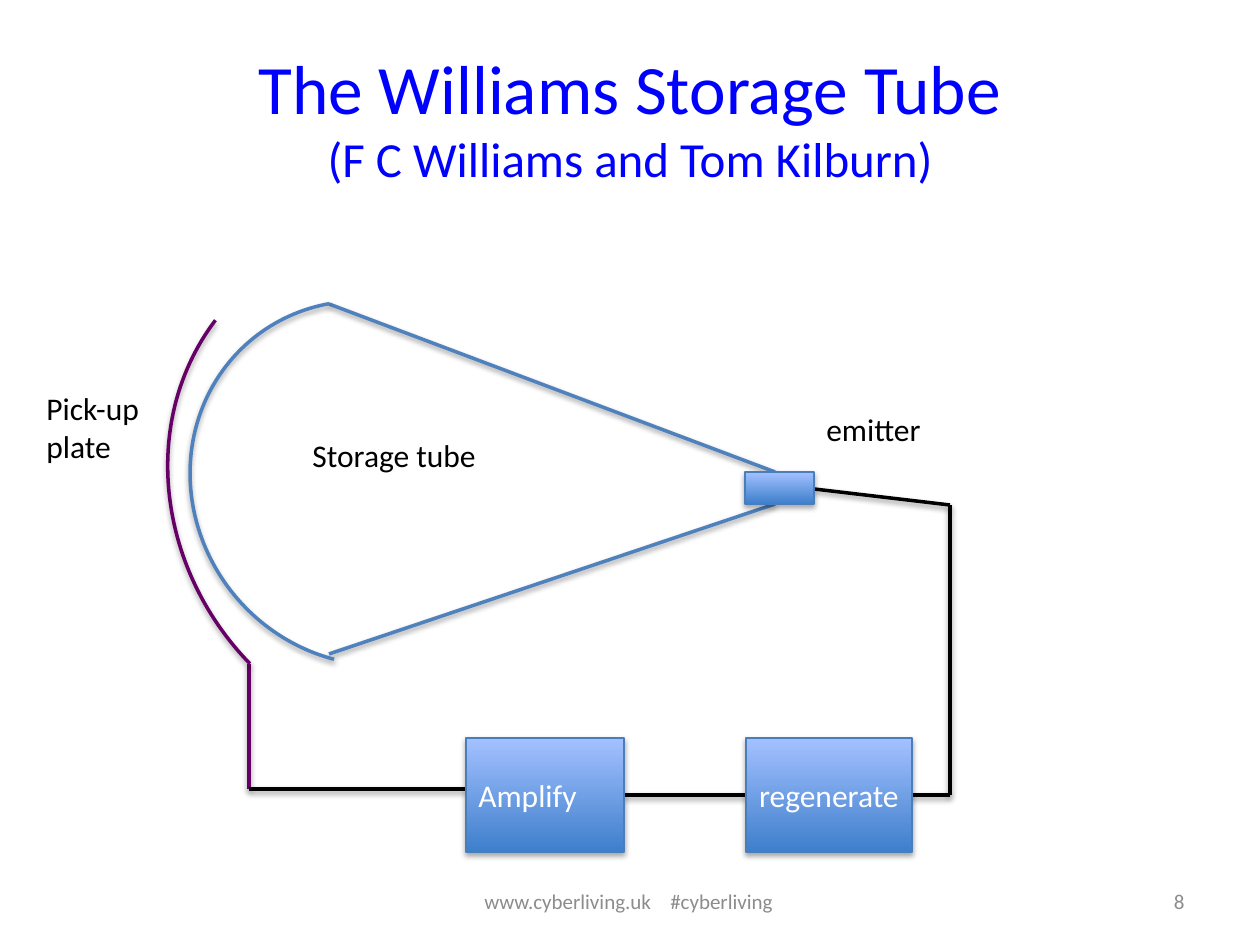
from dataclasses import dataclass
from itertools import pairwise

from pptx import Presentation
from pptx.dml.color import RGBColor
from pptx.enum.shapes import MSO_CONNECTOR, MSO_SHAPE
from pptx.enum.text import MSO_ANCHOR, MSO_AUTO_SIZE, PP_ALIGN
from pptx.util import Emu, Pt

STRAIGHT = MSO_CONNECTOR.STRAIGHT
ARC, RECTANGLE = MSO_SHAPE.ARC, MSO_SHAPE.RECTANGLE
LEFT, CENTER, RIGHT = PP_ALIGN.LEFT, PP_ALIGN.CENTER, PP_ALIGN.RIGHT
TOP, MIDDLE = MSO_ANCHOR.TOP, MSO_ANCHOR.MIDDLE

EMU_PER_PX = 914400 / 126
FONT = "Calibri"
BLUE, TUBE, PLATE = "0000FF", "4F81BD", "660066"
BLACK, WHITE, GREY = "000000", "FFFFFF", "8C8C8C"
ARC_TURN = 141.2
TITLE_ONLY_LAYOUT = 5


@dataclass(frozen=True)
class Box:
    left: int
    top: int
    width: int
    height: int

    def emu(self) -> tuple[Emu, ...]:
        return tuple(map(px, (self.left, self.top, self.width, self.height)))


@dataclass(frozen=True)
class Label:
    text: str
    box: Box
    color: str = BLACK
    size: int = 18
    align: PP_ALIGN = LEFT
    anchor: MSO_ANCHOR = TOP


@dataclass(frozen=True)
class Wire:
    color: str
    points: tuple[tuple[int, int], ...]


@dataclass(frozen=True)
class Curve:
    """An arc; start and end are in the preset's adjustment units."""
    color: str
    box: Box
    start: float
    end: float


EMITTER = Box(745, 472, 69, 32)
AMPLIFIER = Box(466, 738, 158, 114)
REGENERATOR = Box(746, 738, 166, 114)

CURVES = (
    Curve(TUBE, Box(194, 297, 352, 372), 192.2, 69.61),
    Curve(PLATE, Box(178, 223, 485, 536), 212.07, 47.15),
)
WIRES = (
    Wire(TUBE, ((775, 472), (329, 304))),
    Wire(TUBE, ((775, 504), (329, 654))),
    Wire(PLATE, ((249, 664), (249, 789))),
    Wire(BLACK, ((249, 789), (466, 789))),
    Wire(BLACK, ((624, 795), (950, 795), (950, 505), (814, 489))),
)
LABELS = (
    Label("Amplify", Box(466, 770, 158, 50), WHITE),
    Label("Pick-up plate", Box(34, 383, 166, 89)),
    Label("Storage tube", Box(300, 430, 277, 50)),
    Label("emitter", Box(814, 404, 192, 50)),
    Label("8", Box(903, 876, 294, 50), GREY, 12, RIGHT, MIDDLE),
)
FOOTER_BOX = Box(431, 876, 395, 50)


def px(length: int) -> Emu:
    return Emu(round(length * EMU_PER_PX))


def rgb(color: str) -> RGBColor:
    return RGBColor.from_string(color)


def style_font(font, size: float, color: str) -> None:
    font.name = FONT
    font.size = Pt(size)
    font.color.rgb = rgb(color)


def style_line(line, color: str) -> None:
    line.color.rgb = rgb(color)
    line.width = Pt(2)


def set_title(title) -> None:
    title.left, title.top, title.width, title.height = Box(63, 38, 1134, 157).emu()
    frame = title.text_frame
    frame.text = "The Williams Storage Tube\v(F C Williams and Tom Kilburn)"
    frame.auto_size = MSO_AUTO_SIZE.NONE
    frame.vertical_anchor = MIDDLE
    frame.paragraphs[0].alignment = CENTER
    for run, size in zip(frame.paragraphs[0].runs, (39.6, 28)):
        style_font(run.font, size, BLUE)


def add_wire(shapes, wire: Wire) -> None:
    for start, end in pairwise(wire.points):
        segment = shapes.add_connector(STRAIGHT, *map(px, start + end))
        style_line(segment.line, wire.color)


def add_curve(shapes, curve: Curve) -> None:
    arc = shapes.add_shape(ARC, *curve.box.emu())
    arc.adjustments[0], arc.adjustments[1] = curve.start, curve.end
    arc.rotation = ARC_TURN
    arc.fill.background()
    style_line(arc.line, curve.color)


def add_unit(shapes, box: Box, text: str = "") -> None:
    """Draw a circuit unit in the theme's own gradient, outline and shadow."""
    unit = shapes.add_shape(RECTANGLE, *box.emu())
    if text:
        unit.text_frame.text = text
        unit.text_frame.word_wrap = False
        unit.text_frame.paragraphs[0].alignment = CENTER
        style_font(unit.text_frame.paragraphs[0].runs[0].font, 18, WHITE)


def add_label(shapes, label: Label):
    frame = shapes.add_textbox(*label.box.emu()).text_frame
    frame.text = label.text
    frame.word_wrap = True
    frame.vertical_anchor = label.anchor
    paragraph = frame.paragraphs[0]
    paragraph.alignment = label.align
    style_font(paragraph.runs[0].font, label.size, label.color)
    return paragraph


def add_footer(shapes) -> None:
    """Write address and hashtag, parted by one widely tracked space."""
    address = Label("www.cyberliving.uk", FOOTER_BOX, GREY, 12, CENTER, MIDDLE)
    paragraph = add_label(shapes, address)
    for text in (" ", "#cyberliving"):
        run = paragraph.add_run()
        run.text = text
        style_font(run.font, 12, GREY)
    paragraph.runs[1].font._element.set("spc", "810")


def main() -> None:
    presentation = Presentation()
    presentation.slide_width, presentation.slide_height = px(1260), px(945)
    layout = presentation.slide_layouts[TITLE_ONLY_LAYOUT]
    shapes = presentation.slides.add_slide(layout).shapes

    set_title(shapes.title)
    for wire in WIRES:
        add_wire(shapes, wire)
    for curve in CURVES:
        add_curve(shapes, curve)
    add_unit(shapes, EMITTER)
    add_unit(shapes, AMPLIFIER)
    add_unit(shapes, REGENERATOR, "regenerate")
    for label in LABELS:
        add_label(shapes, label)
    add_footer(shapes)
    presentation.save("out.pptx")


if __name__ == "__main__":
    main()
